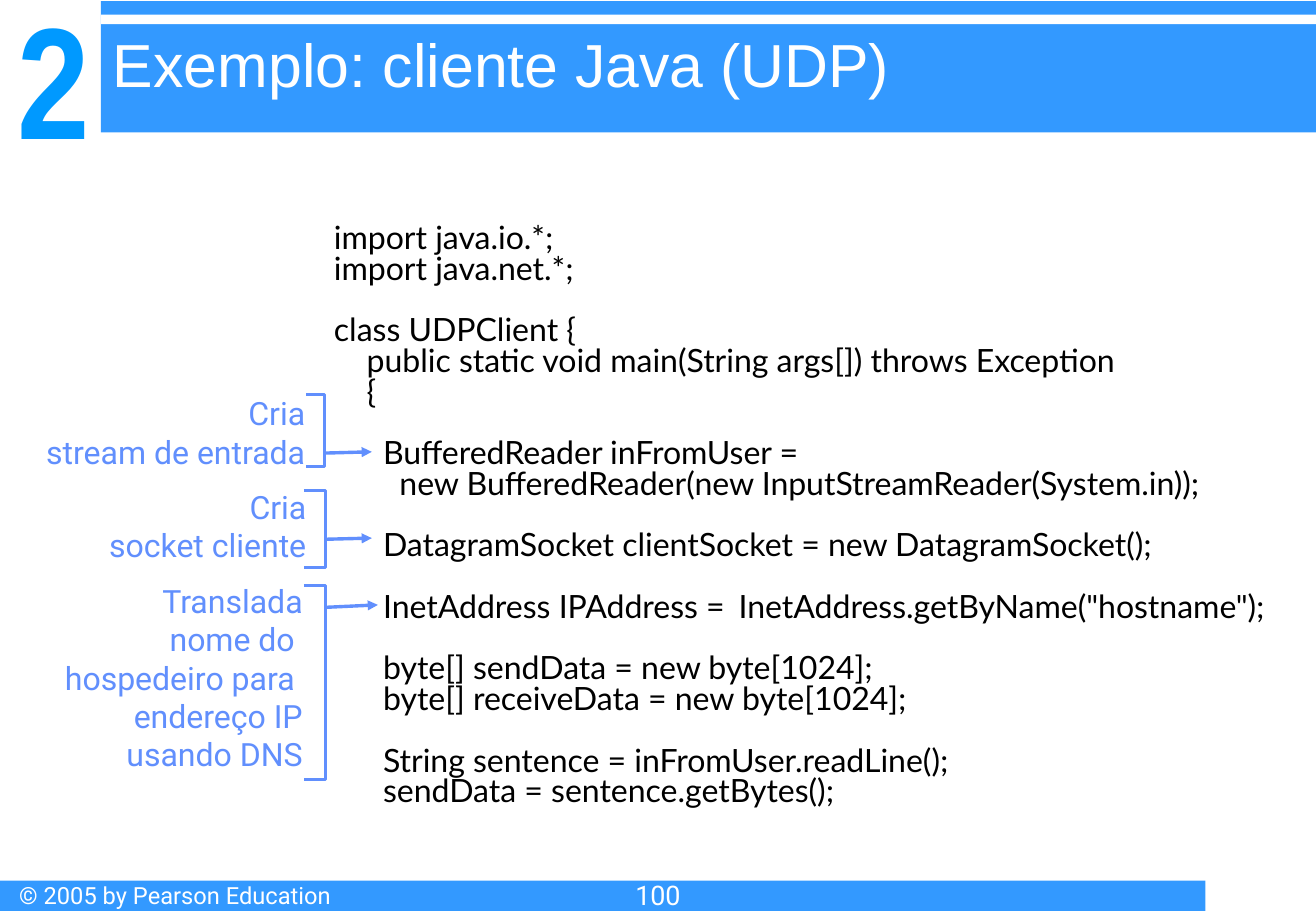
"""Build the slide that explains a Java UDP client."""
from typing import NamedTuple

from lxml import etree
from pptx import Presentation
from pptx.dml.color import RGBColor
from pptx.enum.shapes import MSO_CONNECTOR, MSO_SHAPE
from pptx.enum.text import MSO_ANCHOR, MSO_AUTO_SIZE, PP_ALIGN
from pptx.oxml.ns import qn
from pptx.util import Inches, Pt

RECT = MSO_SHAPE.RECTANGLE
STRAIGHT = MSO_CONNECTOR.STRAIGHT
TOP, MIDDLE, BOTTOM = MSO_ANCHOR.TOP, MSO_ANCHOR.MIDDLE, MSO_ANCHOR.BOTTOM
LEFT, CENTER, RIGHT = PP_ALIGN.LEFT, PP_ALIGN.CENTER, PP_ALIGN.RIGHT
NO_FIT = MSO_AUTO_SIZE.NONE

COLORS = {"bar": "3399FF", "digit": "0099FF", "note": "618FFD",
          "white": "FFFFFF", "black": "000000"}
CODE_GAP = 18.24
CODE_TAB = 3.33


class Box(NamedTuple):
    """Place and size in inches."""
    left: float
    top: float
    width: float
    height: float


class Bar(NamedTuple):
    """A filled band."""
    box: Box
    color: str


class Note(NamedTuple):
    """A label with its bracket and its arrow to the code."""
    lines: list[str]
    box: Box
    bracket: Box
    start: tuple[float, float]
    end: tuple[float, float]


BARS = [
    Bar(Box(0.83, 0.01, 10, 1.08), "bar"),
    Bar(Box(0.83, 0.12, 10, 0.08), "white"),
    Bar(Box(0, 7.25, 9.92, 0.25), "bar"),
]

NOTES = [
    Note(["Cria", "stream de entrada"], Box(0.12, 3.19, 2.49, 0.74),
         Box(2.52, 3.25, 0.15, 0.59), (2.68, 3.73), (3.06, 3.72)),
    Note(["Cria", "socket cliente"], Box(0.12, 3.96, 2.5, 0.74),
         Box(2.5, 4.04, 0.18, 0.63), (2.67, 4.44), (3.06, 4.43)),
    Note(["Translada", "nome do ", "hospedeiro para ", "endereço IP", "usando DNS"],
         Box(0.12, 4.73, 2.47, 1.69),
         Box(2.5, 4.82, 0.18, 1.6), (2.68, 5), (3.11, 4.98)),
]

CODE = [
    ["import java.io.*;",
     "import java.net.*;"],
    ["class UDPClient {",
     "    public static void main(String args[]) throws Exception",
     "    {"],
    ["      BufferedReader inFromUser =",
     "        new BufferedReader(new InputStreamReader(System.in));"],
    ["      DatagramSocket clientSocket = new DatagramSocket();"],
    ["      InetAddress IPAddress = \tInetAddress.getByName(\"hostname\");"],
    ["      byte[] sendData = new byte[1024];",
     "      byte[] receiveData = new byte[1024];"],
    ["      String sentence = inFromUser.readLine();",
     "      sendData = sentence.getBytes();"],
]


def paint(name: str) -> RGBColor:
    """Return the named colour."""
    return RGBColor.from_string(COLORS[name])


def place(box: Box) -> list[int]:
    """Return the box as lengths."""
    return [Inches(side) for side in box]


def write(shape, blocks: list[list[str]], *, size: float, font: str = "Roboto",
          color: str = "white", bold: bool = False, align=LEFT, anchor=TOP,
          pad: bool = True, pitch: float = 1.0, gap: float = 0, tab: float = 0) -> None:
    """Fill a shape with blocks of lines, with a gap between blocks."""
    frame = shape.text_frame
    frame.word_wrap = True
    frame.auto_size = NO_FIT
    frame.vertical_anchor = anchor
    frame.margin_left = frame.margin_right = Inches(0.1 if pad else 0)
    frame.margin_top = frame.margin_bottom = Inches(0.05 if pad else 0)
    lines = [(line, gap if block and not row else 0)
             for block, group in enumerate(blocks) for row, line in enumerate(group)]
    for index, (line, before) in enumerate(lines):
        para = frame.add_paragraph() if index else frame.paragraphs[0]
        para.alignment = align
        para.line_spacing = pitch
        para.space_before = Pt(before)
        if tab:
            stops = etree.SubElement(para._p.get_or_add_pPr(), qn("a:tabLst"))
            etree.SubElement(stops, qn("a:tab"), pos=str(Inches(tab)), algn="l")
        run = para.add_run()
        run.text = line
        run.font.size = Pt(size)
        run.font.name = font
        run.font.bold = bold
        run.font.color.rgb = paint(color)


def add_text(slide, box: Box, blocks: list[list[str]], **style) -> None:
    """Add a text box."""
    write(slide.shapes.add_textbox(*place(box)), blocks, **style)


def add_bar(slide, bar: Bar) -> None:
    """Add a band with no outline."""
    shape = slide.shapes.add_shape(RECT, *place(bar.box))
    shape.shadow.inherit = False
    shape.fill.solid()
    shape.fill.fore_color.rgb = paint(bar.color)
    shape.line.fill.background()


def ink(line) -> None:
    """Give a line the colour and width of the notes."""
    line.color.rgb = paint("note")
    line.width = Pt(2)


def add_note(slide, note: Note) -> None:
    """Add a label, its bracket and its arrow."""
    add_text(slide, note.box, [note.lines], size=19, color="note",
             align=RIGHT, anchor=MIDDLE)
    left, top, width, height = place(note.bracket)
    pen = slide.shapes.build_freeform(left, top)
    pen.add_line_segments([(left + width, top), (left + width, top + height),
                           (left, top + height)], close=False)
    edge = pen.convert_to_shape()
    edge.shadow.inherit = False
    edge.fill.background()
    ink(edge.line)
    ends = [Inches(spot) for spot in note.start + note.end]
    arrow = slide.shapes.add_connector(STRAIGHT, *ends)
    ink(arrow.line)
    etree.SubElement(arrow.line._get_or_add_ln(), qn("a:tailEnd"), type="triangle")
    etree.SubElement(arrow.element.spPr, qn("a:effectLst"))


def add_title(slide, box: Box, text: str) -> None:
    """Move the title to the front and format it."""
    title = slide.shapes.title
    title.left, title.top, title.width, title.height = place(box)
    write(title, [[text]], size=36, font="Arial")
    slide.shapes.element.append(title.element)


def main() -> None:
    """Build and save the slide."""
    deck = Presentation()
    deck.slide_width, deck.slide_height = Inches(10.83), Inches(7.5)
    slide = deck.slides.add_slide(deck.slide_layouts[5])
    for bar in BARS:
        add_bar(slide, bar)
    add_text(slide, Box(0.03, -0.16, 0.83, 1.57), [["2"]], size=94, font="Arial Narrow",
             color="digit", bold=True, align=CENTER, anchor=BOTTOM, pad=False)
    add_text(slide, Box(0.06, 7.2, 3.33, 0.3), [["© 2005 by Pearson Education"]], size=14)
    add_text(slide, Box(2.65, 1.67, 8.18, 5.17), CODE, size=19, font="Lato",
             color="black", anchor=MIDDLE, pitch=0.8, gap=CODE_GAP, tab=CODE_TAB)
    for note in NOTES:
        add_note(slide, note)
    add_title(slide, Box(0.83, 0.17, 10, 0.83), "Exemplo: cliente Java (UDP)")
    add_text(slide, Box(0, 7.18, 10.83, 0.32), [["100"]], size=16, align=CENTER)
    deck.save("out.pptx")


if __name__ == "__main__":
    main()
